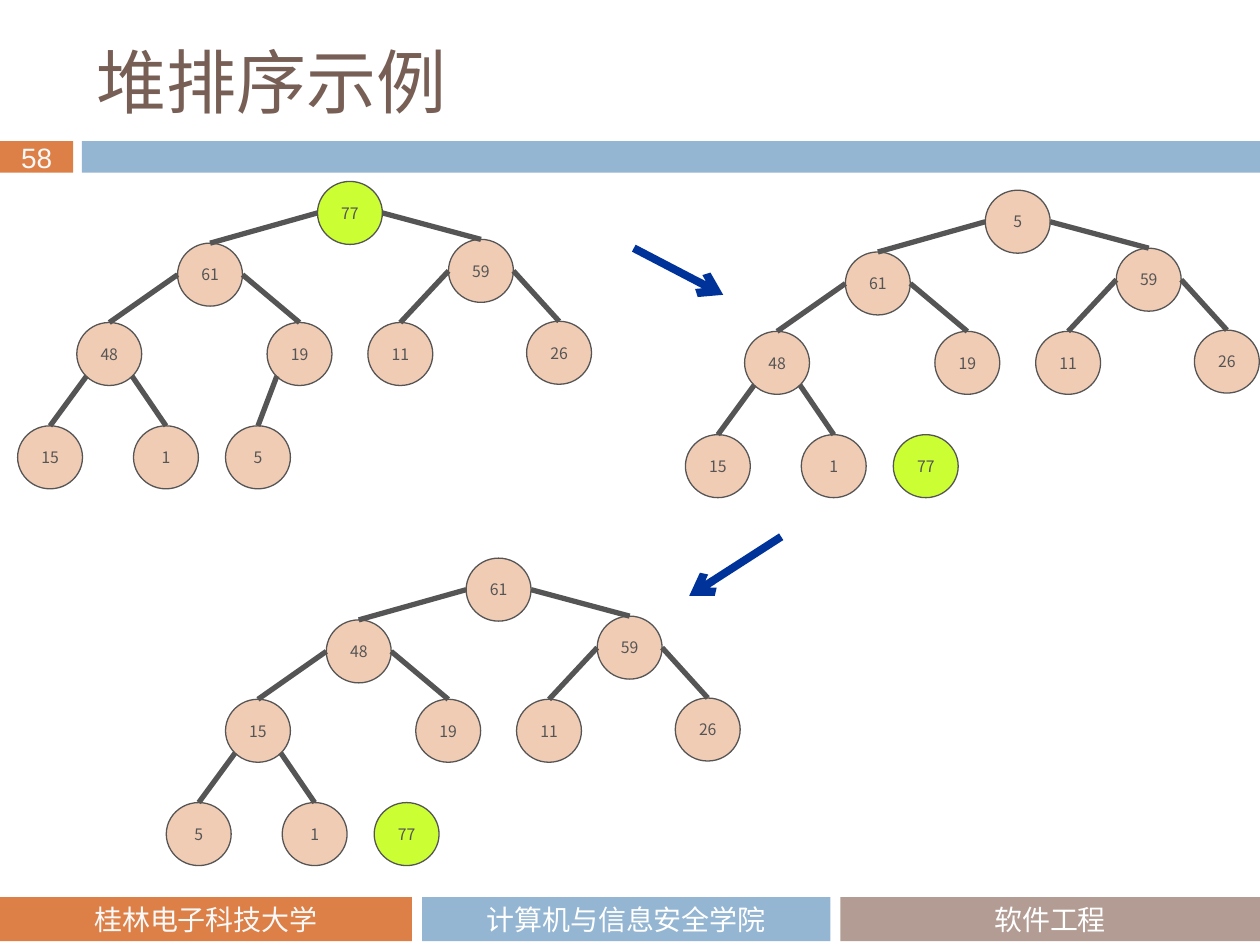
import lxml.etree
import pptx
import pptx.dml.color
import pptx.enum.shapes
import pptx.enum.text
import pptx.oxml.ns
import pptx.util

COLS, ROWS = 100, 75
WIDE, HIGH = pptx.util.Inches(10), pptx.util.Inches(7.5)
KIND = pptx.enum.shapes.MSO_SHAPE
ALIGN = pptx.enum.text.PP_ALIGN
MID = pptx.enum.text.MSO_ANCHOR.MIDDLE
ORANGE, BLUE, TAUPE = "DD8047", "94B6D2", "B29C93"
GREY, NAVY, PEACH, LIME = "555555", "003399", "F1CCB5", "CCFF33"
SANS = "Noto Sans CJK SC"
NODE = (5.15, 5)
SPOTS = [(23.8, 0), (12.7, 4.9), (34.2, 4.6), (4.7, 11.2), (19.8, 11.2),
         (27.8, 11.2), (40.4, 11.1), (0, 19.4), (9.2, 19.4), (16.5, 19.4)]
TREES = [
    ((1.4, 14.4), [77, 61, 59, 48, 19, 11, 26, 15, 1, 5], 10),
    ((54.4, 15.1), [5, 61, 59, 48, 19, 11, 26, 15, 1, 77], 9),
    ((13.2, 44.3), [61, 48, 59, 15, 19, 11, 26, 5, 1, 77], 9),
]
ARROWS = [((50.3, 19.7), (57.4, 23.4)), ((62, 42.6), (54.7, 47.3))]


def tint(code):
    """Return the colour of a hex string."""
    return pptx.dml.color.RGBColor.from_string(code)


def place(*grid):
    """Turn alternating columns and rows into slide lengths."""
    unit = (WIDE / COLS, HIGH / ROWS)
    return [round(v * unit[i % 2]) for i, v in enumerate(grid)]


def apply(item, form):
    """Set each format value on an object."""
    for name, value in form.items():
        setattr(item, name, value)


def write(shape, text, size, face, ink, align=ALIGN.CENTER, pad=0):
    """Write one styled line into a shape."""
    apply(shape.text_frame, {
        "margin_left": pad, "margin_right": pad, "margin_top": 0,
        "margin_bottom": 0, "vertical_anchor": MID, "word_wrap": True})
    para = shape.text_frame.paragraphs[0]
    para.alignment = align
    run = para.add_run()
    run.text = text
    apply(run.font, {"size": pptx.util.Pt(size), "name": face})
    run.font.color.rgb = tint(ink)
    tag = pptx.oxml.ns.qn("a:ea")
    lxml.etree.SubElement(run.font._element, tag, typeface=face)


def block(slide, kind, box, fill, edge=None):
    """Draw a filled preset shape with an optional outline."""
    shape = slide.shapes.add_shape(kind, *place(*box))
    shape.shadow.inherit = False
    shape.fill.solid()
    shape.fill.fore_color.rgb = tint(fill)
    if edge:
        shape.line.width = pptx.util.Pt(0.75)
        shape.line.color.rgb = tint(edge)
    else:
        shape.line.fill.background()
    return shape


def link(slide, start, end, ink, width, arrow=False):
    """Draw a straight line, with an arrowhead at its end if asked."""
    line = slide.shapes.add_connector(
        pptx.enum.shapes.MSO_CONNECTOR.STRAIGHT, *place(*start, *end))
    line.line.width = pptx.util.Pt(width)
    line.line.color.rgb = tint(ink)
    name = pptx.oxml.ns.qn
    if arrow:
        lxml.etree.SubElement(line.line._ln, name("a:tailEnd"), type="arrow")
    lxml.etree.SubElement(line._element.spPr, name("a:effectLst"))


def header(slide, box):
    """Place the title above the numbered band."""
    left, top, wide, high = box
    title = slide.shapes.add_textbox(
        *place(left + 6.7, top + 2.5, wide - 10.8, 7.8))
    write(title, "堆排序示例", 40, "Noto Sans CJK JP", "775F55",
          ALIGN.LEFT, pptx.util.Inches(0.1))
    band = top + high - 2.5
    badge = block(slide, KIND.RECTANGLE, (left, band, 5.8, 2.5), ORANGE)
    write(badge, "58", 16, "Arial", "F9F9F9")
    block(slide, KIND.RECTANGLE, (left + 6.5, band, wide - 6.5, 2.5), BLUE)


def footer(slide, box):
    """Place the three labelled blocks of the bottom strip."""
    left, top, wide, high = box
    parts = [(0, 32.7, ORANGE, "桂林电子科技大学", "F9F9F9"),
             (33.5, 32.4, BLUE, "计算机与信息安全学院", "FFFFFF"),
             (66.7, 33.3, TAUPE, "软件工程", "FFFFFF")]
    for col, span, fill, text, ink in parts:
        cell = (left + col * wide / COLS, top, span * wide / COLS, high)
        part = block(slide, KIND.RECTANGLE, cell, fill)
        write(part, text, 16, "Cabin", ink)


def tree(slide, box, keys, count):
    """Draw a heap whose first count nodes are linked."""
    left, top = box
    wide, high = NODE
    mids = [(left + x + wide / 2, top + y + high / 2) for x, y in SPOTS]
    for i, (key, (x, y)) in enumerate(zip(keys, mids)):
        fill = LIME if key == 77 else PEACH
        cell = (x - wide / 2, y - high / 2, wide, high)
        node = block(slide, KIND.OVAL, cell, fill, GREY)
        write(node, str(key), 9, SANS, GREY)
    for i in range(1, count):
        root = (i - 1) // 2
        side = -1 if i % 2 else 1
        dx, dy = (0.5, 0) if root < 3 else (0.35, 0.35)
        px, py = mids[root]
        x, y = mids[i]
        link(slide, (px + side * dx * wide, py + dy * high),
             (x, y - high / 2), GREY, 3)


def main():
    """Build and save the slide."""
    deck = pptx.Presentation()
    apply(deck, {"slide_width": WIDE, "slide_height": HIGH})
    slide = deck.slides.add_slide(deck.slide_layouts[6])
    header(slide, (0, 0, COLS, 13.7))
    footer(slide, (0, 71.2, COLS, 3.5))
    for box, keys, count in TREES:
        tree(slide, box, keys, count)
    for start, end in ARROWS:
        link(slide, start, end, NAVY, 4.5, True)
    deck.save("out.pptx")


if __name__ == "__main__":
    main()
